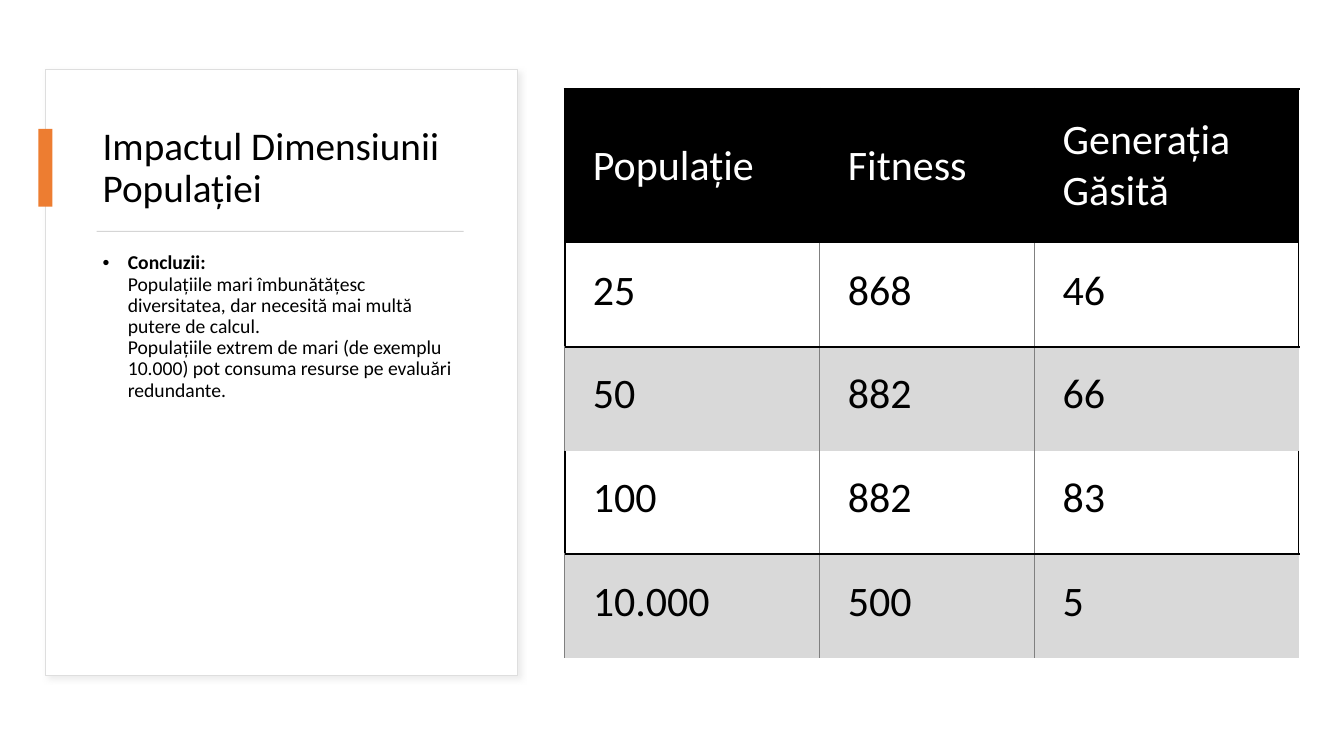
from lxml.etree import SubElement
from pptx import Presentation
from pptx.dml.color import RGBColor
from pptx.enum.shapes import MSO_SHAPE
from pptx.enum.text import MSO_ANCHOR
from pptx.oxml.ns import qn
from pptx.util import Inches, Pt

BLACK, WHITE, GREY, BAND = "000000", "FFFFFF", "808080", "D9D9D9"
NO_GRID_STYLE = "{2D5ABB26-0587-4C30-8999-92F81FD0307C}"
COLUMN_WIDTHS = [2.53, 2.13, 2.62]
HEADER_HEIGHT, ROW_HEIGHT = 1.53, 1.03
RESULTS = [
    ["Populație", "Fitness", "Generația Găsită"],
    ["25", "868", "46"],
    ["50", "882", "66"],
    ["100", "882", "83"],
    ["10.000", "500", "5"],
]
CONCLUSIONS = [
    "Populațiile mari îmbunătățesc diversitatea, dar necesită mai multă putere de calcul.",
    "Populațiile extrem de mari (de exemplu 10.000) pot consuma resurse pe evaluări redundante.",
]


def rgb(color):
    return RGBColor.from_string(color)


def add_color(parent, color):
    return SubElement(parent, qn("a:srgbClr"), val=color)


def add_text(paragraph, text, size=14, color=BLACK, bold=False):
    run = paragraph.add_run()
    run.text = text
    run.font.name = "Calibri"
    run.font.size = Pt(size)
    run.font.bold = bold
    run.font.color.rgb = rgb(color)


def add_rect(slide, left, top, width, height, fill, line=None):
    rect = slide.shapes.add_shape(
        MSO_SHAPE.RECTANGLE, Inches(left), Inches(top), Inches(width), Inches(height)
    )
    rect.shadow.inherit = False
    rect.fill.solid()
    rect.fill.fore_color.rgb = rgb(fill)
    if line:
        rect.line.color.rgb = rgb(line)
        rect.line.width = Pt(0.75)
    else:
        rect.line.fill.background()
    return rect


def add_soft_shadow(rect):
    effects = rect._element.spPr.find(qn("a:effectLst"))
    shadow = SubElement(
        effects, qn("a:outerShdw"), blurRad=str(Pt(4)), dist=str(Pt(3)),
        dir=str(45 * 60000), algn="tl", rotWithShape="0",
    )
    SubElement(add_color(shadow, BAND), qn("a:alpha"), val="50000")


def add_text_area(slide, left, top, width, height, anchor):
    frame = slide.shapes.add_textbox(
        Inches(left), Inches(top), Inches(width), Inches(height)
    ).text_frame
    frame.word_wrap = True
    frame.vertical_anchor = anchor
    paragraph = frame.paragraphs[0]
    paragraph.line_spacing = 0.9
    return paragraph


def add_bullet(paragraph):
    properties = paragraph._p.get_or_add_pPr()
    properties.set("marL", str(Inches(0.25)))
    properties.set("indent", str(Inches(-0.25)))
    SubElement(properties, qn("a:buFont"), typeface="Arial")
    SubElement(properties, qn("a:buChar"), char="•")


def set_borders(cell, **borders):
    properties = cell._tc.get_or_add_tcPr()
    for side in "LRTB":
        color, width = borders.get(side) or (None, 0)
        border = SubElement(properties, qn(f"a:ln{side}"), w=str(Pt(width)))
        if color:
            add_color(SubElement(border, qn("a:solidFill")), color)
        else:
            SubElement(border, qn("a:noFill"))


def style_cell(cell, row, column):
    header, banded = row == 0, row > 0 and row % 2 == 0
    strong, thin = (BLACK, 1.5), (GREY, 0.5)
    first, last = column == 0, column == len(COLUMN_WIDTHS) - 1
    outer = None if banded else strong
    set_borders(
        cell,
        L=strong if header or (first and not banded) else thin,
        R=outer if last else strong if header else thin,
        T=strong if header or banded else None,
        B=None if banded or header else strong,
    )
    if header or banded:
        cell.fill.solid()
        cell.fill.fore_color.rgb = rgb(BLACK if header else BAND)
    else:
        cell.fill.background()
    cell.margin_left = Inches(0.28)
    cell.margin_right = cell.margin_top = cell.margin_bottom = Inches(0.22)
    cell.vertical_anchor = MSO_ANCHOR.MIDDLE if header else MSO_ANCHOR.TOP


def add_results(slide, left, top):
    heights = [HEADER_HEIGHT] + [ROW_HEIGHT] * (len(RESULTS) - 1)
    table = slide.shapes.add_table(
        len(RESULTS), len(COLUMN_WIDTHS), Inches(left), Inches(top),
        Inches(sum(COLUMN_WIDTHS)), Inches(sum(heights)),
    ).table
    table.horz_banding = False
    table._tbl.tblPr.find(qn("a:tableStyleId")).text = NO_GRID_STYLE
    for column, width in zip(table.columns, COLUMN_WIDTHS):
        column.width = Inches(width)
    for row, height in enumerate(heights):
        table.rows[row].height = Inches(height)
        for column, value in enumerate(RESULTS[row]):
            cell = table.cell(row, column)
            style_cell(cell, row, column)
            add_text(cell.text_frame.paragraphs[0], value, size=30,
                     color=BLACK if row else WHITE)


def main():
    deck = Presentation()
    deck.slide_width, deck.slide_height = Inches(13.33), Inches(7.5)
    slide = deck.slides.add_slide(deck.slide_layouts[6])

    card = add_rect(slide, 0.45, 0.69, 4.68, 6.01, WHITE, line="DEDEDE")
    add_soft_shadow(card)
    title = add_text_area(slide, 0.92, 1.07, 3.73, 1.21, MSO_ANCHOR.MIDDLE)
    add_text(title, "Impactul Dimensiunii Populației", size=28)
    add_rect(slide, 0.38, 1.28, 0.14, 0.77, "ED7D31")
    add_rect(slide, 0.96, 2.29, 3.64, 0.01, "D5D5D5")

    conclusions = add_text_area(slide, 0.92, 2.46, 3.73, 3.89, MSO_ANCHOR.TOP)
    conclusions.space_before = Pt(10)
    add_bullet(conclusions)
    add_text(conclusions, "Concluzii:", bold=True)
    for sentence in CONCLUSIONS:
        conclusions.add_line_break()
        add_text(conclusions, sentence)

    add_results(slide, 5.6, 0.88)
    deck.save("out.pptx")


if __name__ == "__main__":
    main()
